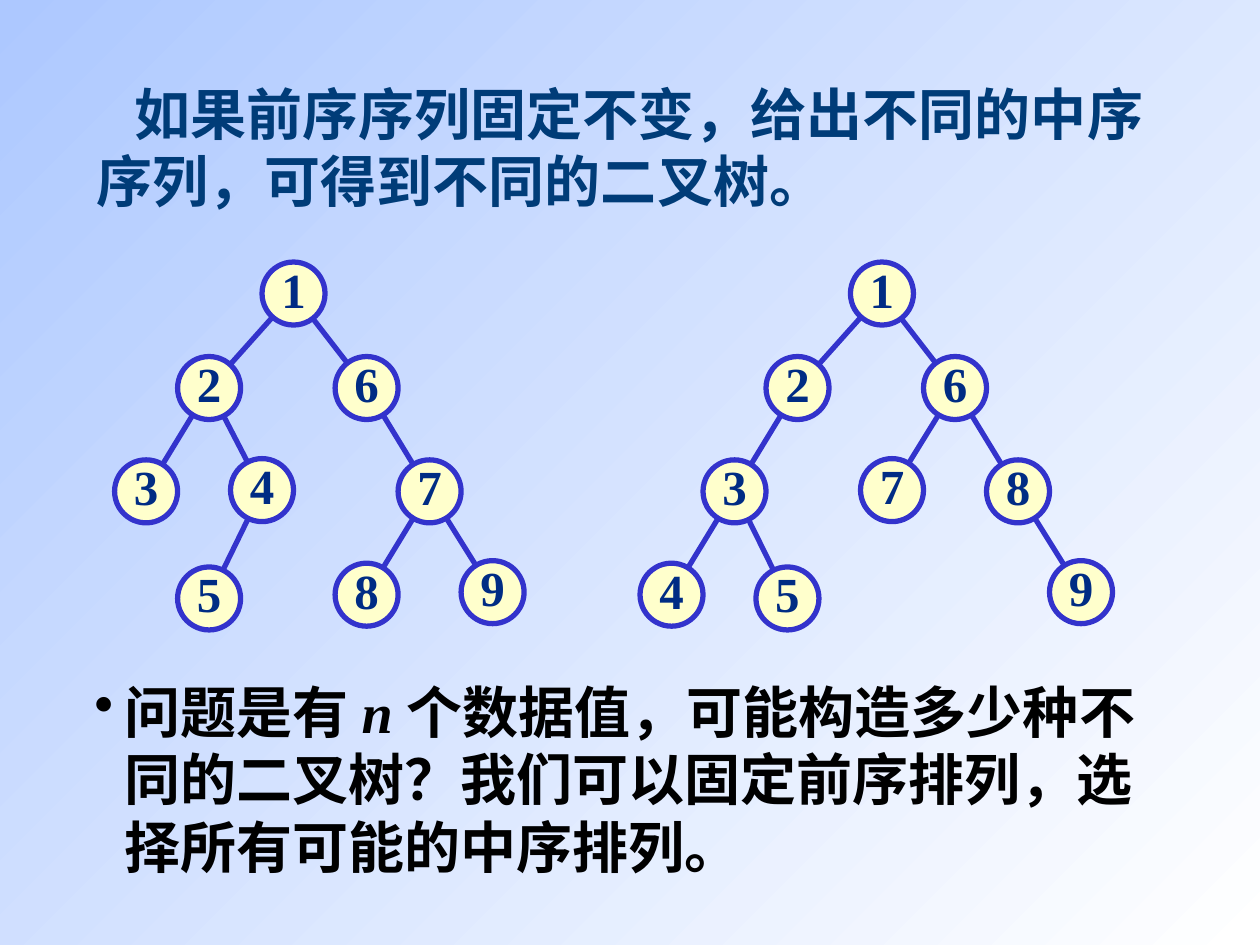
from math import hypot

from pptx import Presentation
from pptx.dml.color import RGBColor
from pptx.enum.shapes import MSO_CONNECTOR, MSO_SHAPE
from pptx.enum.text import MSO_ANCHOR, PP_ALIGN
from pptx.oxml.ns import qn
from pptx.util import Inches, Pt
from lxml.etree import SubElement

SKY = RGBColor(0xAD, 0xC8, 0xFF)
WHITE = RGBColor(0xFF, 0xFF, 0xFF)
BLACK = RGBColor(0, 0, 0)
TEAL = RGBColor(0x00, 0x3C, 0x78)
NAVY = RGBColor(0x00, 0x2C, 0x84)
BLUE = RGBColor(0x33, 0x33, 0xCC)
CREAM = RGBColor(0xFF, 0xFF, 0xCC)

NODE = 0.5  # diameter
TRIM = 0.2  # gap from a node's centre to the end of an edge

# label: (left, top, parent), measured from the corner of the tree's box
LEFT_TREE = {
    "1": (1.17, 0, None),
    "2": (0.5, 0.75, "1"),
    "6": (1.75, 0.75, "1"),
    "3": (0, 1.57, "2"),
    "4": (0.92, 1.56, "2"),
    "7": (2.25, 1.57, "6"),
    "5": (0.5, 2.42, "4"),
    "8": (1.75, 2.39, "7"),
    "9": (2.75, 2.37, "7"),
}
RIGHT_TREE = {
    "1": (1.67, 0, None),
    "2": (1, 0.75, "1"),
    "6": (2.25, 0.75, "1"),
    "3": (0.5, 1.57, "2"),
    "7": (1.75, 1.56, "6"),
    "8": (2.75, 1.57, "6"),
    "4": (0, 2.39, "3"),
    "5": (0.92, 2.42, "3"),
    "9": (3.25, 2.37, "8"),
}


def add_text(para, text, size=32, font="Times New Roman", color=BLACK, italic=False):
    run = para.add_run()
    run.text = text
    run.font.size = Pt(size)
    run.font.name = font
    run.font.bold = True
    run.font.italic = italic
    run.font.color.rgb = color


def add_box(slide, left, top, width, height, margin=0, indent=0):
    """Add a wrapping text box and return its first paragraph."""
    box = slide.shapes.add_textbox(
        Inches(left), Inches(top), Inches(width), Inches(height))
    box.text_frame.word_wrap = True
    para = box.text_frame.paragraphs[0]
    props = para._p.get_or_add_pPr()
    props.set("marL", str(Inches(margin)))
    props.set("indent", str(Inches(indent)))
    return para


def add_edge(slide, start, end):
    """Join two node centres, stopping short of each."""
    (x1, y1), (x2, y2) = start, end
    span = hypot(x2 - x1, y2 - y1)
    dx, dy = (x2 - x1) * TRIM / span, (y2 - y1) * TRIM / span
    edge = slide.shapes.add_connector(
        MSO_CONNECTOR.STRAIGHT, Inches(x1 + dx), Inches(y1 + dy),
        Inches(x2 - dx), Inches(y2 - dy))
    edge.line.color.rgb = BLUE
    edge.line.width = Pt(3)
    SubElement(edge._element.spPr, qn("a:effectLst"))


def add_node(slide, label, center):
    x, y = center
    node = slide.shapes.add_shape(
        MSO_SHAPE.OVAL, Inches(x - NODE / 2), Inches(y - NODE / 2),
        Inches(NODE), Inches(NODE))
    node.shadow.inherit = False
    node.fill.solid()
    node.fill.fore_color.rgb = CREAM
    node.line.color.rgb = BLUE
    node.line.width = Pt(3)
    frame = node.text_frame
    frame.word_wrap = False
    frame.vertical_anchor = MSO_ANCHOR.MIDDLE
    frame.margin_left = frame.margin_right = frame.margin_top = 0
    frame.margin_bottom = Inches(0.08)
    para = frame.paragraphs[0]
    para.alignment = PP_ALIGN.CENTER
    add_text(para, label, size=28, color=NAVY)


def add_tree(slide, left, top, tree):
    centers = {label: (left + x + NODE / 2, top + y + NODE / 2)
               for label, (x, y, _) in tree.items()}
    for label, (_, _, parent) in tree.items():
        if parent:
            add_edge(slide, centers[parent], centers[label])
    for label, center in centers.items():
        add_node(slide, label, center)


def add_intro(slide, left, top, width, height):
    para = add_box(slide, left, top, width, height, indent=0.3)
    add_text(para, "如果前序序列固定不变，给出不同的中序序列，可得到不同的二叉树。",
             font="Arial", color=TEAL)


def add_question(slide, left, top, width, height):
    para = add_box(slide, left, top, width, height, margin=0.24, indent=-0.24)
    SubElement(para._p.get_or_add_pPr(), qn("a:buChar")).set("char", "•")
    add_text(para, "问题是有 ")
    add_text(para, "n ", italic=True)
    add_text(para, "个数据值，可能构造多少种不同的二叉树？"
                   "我们可以固定前序排列，选择所有可能的中序排列。")


def set_back(slide):
    fill = slide.background.fill
    fill.gradient()
    fill.gradient_angle = 315
    for stop, color, place in zip(fill.gradient_stops, (SKY, WHITE), (0, 1)):
        stop.color.rgb = color
        stop.position = place


def main():
    deck = Presentation()
    deck.slide_width, deck.slide_height = Inches(10), Inches(7.5)
    slide = deck.slides.add_slide(deck.slide_layouts[6])
    set_back(slide)
    add_intro(slide, 0.67, 0.58, 8.75, 1.17)
    add_tree(slide, 0.91, 2.08, LEFT_TREE)
    add_tree(slide, 5.08, 2.08, RIGHT_TREE)
    add_question(slide, 0.65, 5.33, 8.68, 1.7)
    deck.save("out.pptx")


if __name__ == "__main__":
    main()
